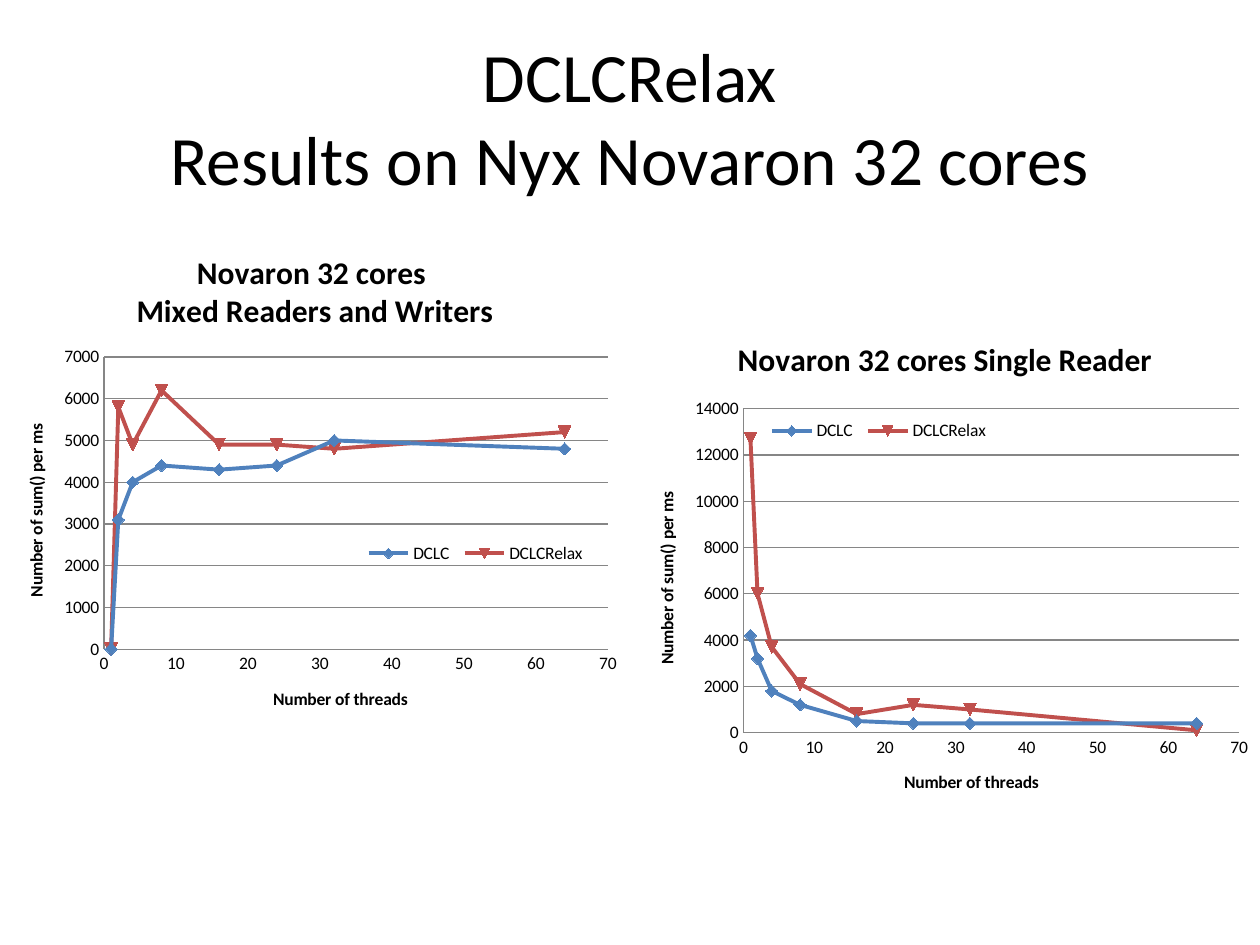
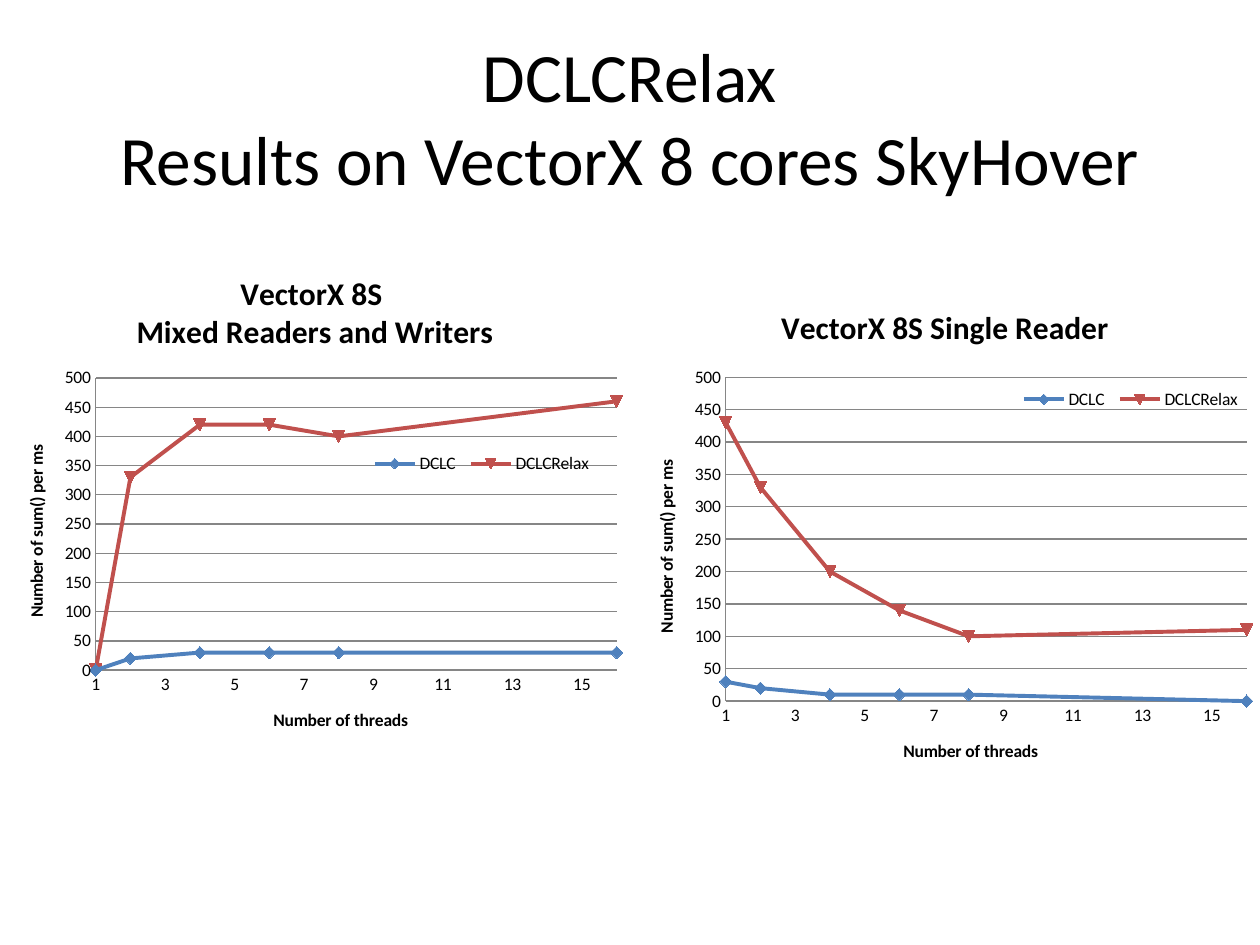
from pptx import Presentation
from pptx.chart.data import XyChartData
from pptx.dml.color import RGBColor as RGB
from pptx.enum.chart import XL_CHART_TYPE as CT, XL_LEGEND_POSITION as LP, XL_TICK_MARK as TM
from pptx.enum.text import MSO_ANCHOR, MSO_AUTO_SIZE, PP_ALIGN
from pptx.oxml import parse_xml
from pptx.oxml.ns import nsdecls
from pptx.util import Pt

FONT = "Calibri"
COLORS = {"text": "000000", "grid": "868686", "DCLC": "4F81BD", "DCLCRelax": "C0504D"}
CHART_W, CHART_H = 360, 288
LEGEND_W, LEGEND_H = 0.37, 0.06


def style_font(font, size, bold):
    """Apply the shared typeface and text colour."""
    for name, value in {"name": FONT, "size": Pt(size), "bold": bold}.items():
        setattr(font, name, value)
    font.color.rgb = RGB.from_string(COLORS["text"])


def place(parent, index, inner, box):
    """Give a plot area or legend a manual layout in chart fractions."""
    for old in parent.xpath("c:layout"):
        parent.remove(old)
    target = '<c:layoutTarget val="inner"/>' if inner else ""
    modes = "".join(f'<c:{k}Mode val="edge"/>' for k in "xy")
    sizes = "".join(f'<c:{k} val="{v}"/>' for k, v in zip("xywh", box))
    parent.insert(index, parse_xml(
        f'<c:layout {nsdecls("c")}><c:manualLayout>{target}{modes}{sizes}'
        "</c:manualLayout></c:layout>"))


# Axis ranges are (minimum, maximum, major unit); boxes are chart fractions.
slides = [
    {"title": "DCLCRelax\vResults on Nyx Novaron 32 cores",
     "threads": [1, 2, 4, 8, 16, 24, 32, 64], "x_axis": (0, 70, 10),
     "charts": [
         {"title": "Novaron 32 cores \nMixed Readers and Writers", "top": 132,
          "y_axis": (0, 7000, 1000), "plot": (0.165, 0.25, 0.8, 0.58), "legend": (0.57, 0.61),
          "DCLC": [0, 3100, 4000, 4400, 4300, 4400, 5000, 4800],
          "DCLCRelax": [0, 5800, 4900, 6200, 4900, 4900, 4800, 5200]},
         {"title": "Novaron 32 cores Single Reader", "top": 180,
          "y_axis": (0, 14000, 2000), "plot": (0.18, 0.186, 0.787, 0.643), "legend": (0.21, 0.2),
          "DCLC": [4200, 3200, 1800, 1200, 500, 400, 400, 400],
          "DCLCRelax": [12700, 6000, 3700, 2100, 800, 1200, 1000, 100]}]},
    {"title": "DCLCRelax\vResults on VectorX 8 cores SkyHover",
     "threads": [1, 2, 4, 6, 8, 16], "x_axis": (1, 16, 2),
     "charts": [
         {"title": "VectorX 8S \nMixed Readers and Writers", "top": 144,
          "y_axis": (0, 500, 50), "plot": (0.152, 0.25, 0.827, 0.58), "legend": (0.58, 0.39),
          "DCLC": [0, 20, 30, 30, 30, 30],
          "DCLCRelax": [0, 330, 420, 420, 400, 460]},
         {"title": "VectorX 8S Single Reader", "top": 162,
          "y_axis": (0, 500, 50), "plot": (0.152, 0.186, 0.827, 0.643), "legend": (0.61, 0.2),
          "DCLC": [30, 20, 10, 10, 10, 0],
          "DCLCRelax": [430, 330, 200, 140, 100, 110]}]},
]

prs = Presentation()
prs.slide_width, prs.slide_height = Pt(720), Pt(540)

for page in slides:
    s = prs.slides.add_slide(prs.slide_layouts[5])
    sp = s.shapes.title
    sp.left, sp.top, sp.width, sp.height = Pt(36), Pt(21.6), Pt(648), Pt(90)
    tf = sp.text_frame
    for name, value in {"text": page["title"], "word_wrap": True,
                        "auto_size": MSO_AUTO_SIZE.NONE,
                        "vertical_anchor": MSO_ANCHOR.MIDDLE}.items():
        setattr(tf, name, value)
    p = tf.paragraphs[0]
    p.alignment = PP_ALIGN.CENTER
    for r in p.runs:
        style_font(r.font, 39.6, False)

    for col, item in enumerate(page["charts"]):
        data = XyChartData()
        for name in ("DCLC", "DCLCRelax"):
            series = data.add_series(name)
            for x, y in zip(page["threads"], item[name]):
                series.add_data_point(x, y)
        chart = s.shapes.add_chart(CT.XY_SCATTER_LINES, Pt(col * CHART_W), Pt(item["top"]),
                                   Pt(CHART_W), Pt(CHART_H), data).chart
        style_font(chart.font, 10, False)
        chart.plots[0].vary_by_categories = False

        axes = [(chart.category_axis, "Number of threads", page["x_axis"]),
                (chart.value_axis, "Number of sum() per ms", item["y_axis"])]
        for axis, label, (low, high, step) in axes:
            for name, value in {"minimum_scale": low, "maximum_scale": high, "major_unit": step,
                                "major_tick_mark": TM.NONE, "minor_tick_mark": TM.NONE,
                                "has_major_gridlines": axis is chart.value_axis}.items():
                setattr(axis, name, value)
            axis.tick_labels.number_format = "General"
            axis.tick_labels.number_format_is_linked = False
            axis.axis_title.text_frame.text = label
        lines = [axis.format.line for axis, _, _ in axes]
        lines.append(chart.value_axis.major_gridlines.format.line)
        for line in lines:
            line.color.rgb = RGB.from_string(COLORS["grid"])
            line.width = Pt(0.75)

        chart.has_title = True
        chart.chart_title.text_frame.text = item["title"]
        titles = [(chart.chart_title, 18)] + [(axis.axis_title, 10) for axis, _, _ in axes]
        for title, size in titles:
            for p in title.text_frame.paragraphs:
                for r in p.runs:
                    style_font(r.font, size, True)

        for series in chart.plots[0].series:
            color = RGB.from_string(COLORS[series.name])
            series.smooth = False
            series.format.line.color.rgb = color
            series.format.line.width = Pt(2.25)
            series.marker.size = 7
            fill = series.marker.format.fill
            fill.solid()
            fill.fore_color.rgb = color
            series.marker.format.line.color.rgb = color

        chart.has_legend = True
        chart.legend.position = LP.RIGHT
        chart.legend.include_in_layout = True
        place(chart.element.xpath("c:chart/c:plotArea")[0], 0, True, item["plot"])
        place(chart.element.xpath("c:chart/c:legend")[0], 1, False,
              (*item["legend"], LEGEND_W, LEGEND_H))

prs.save("out.pptx")
